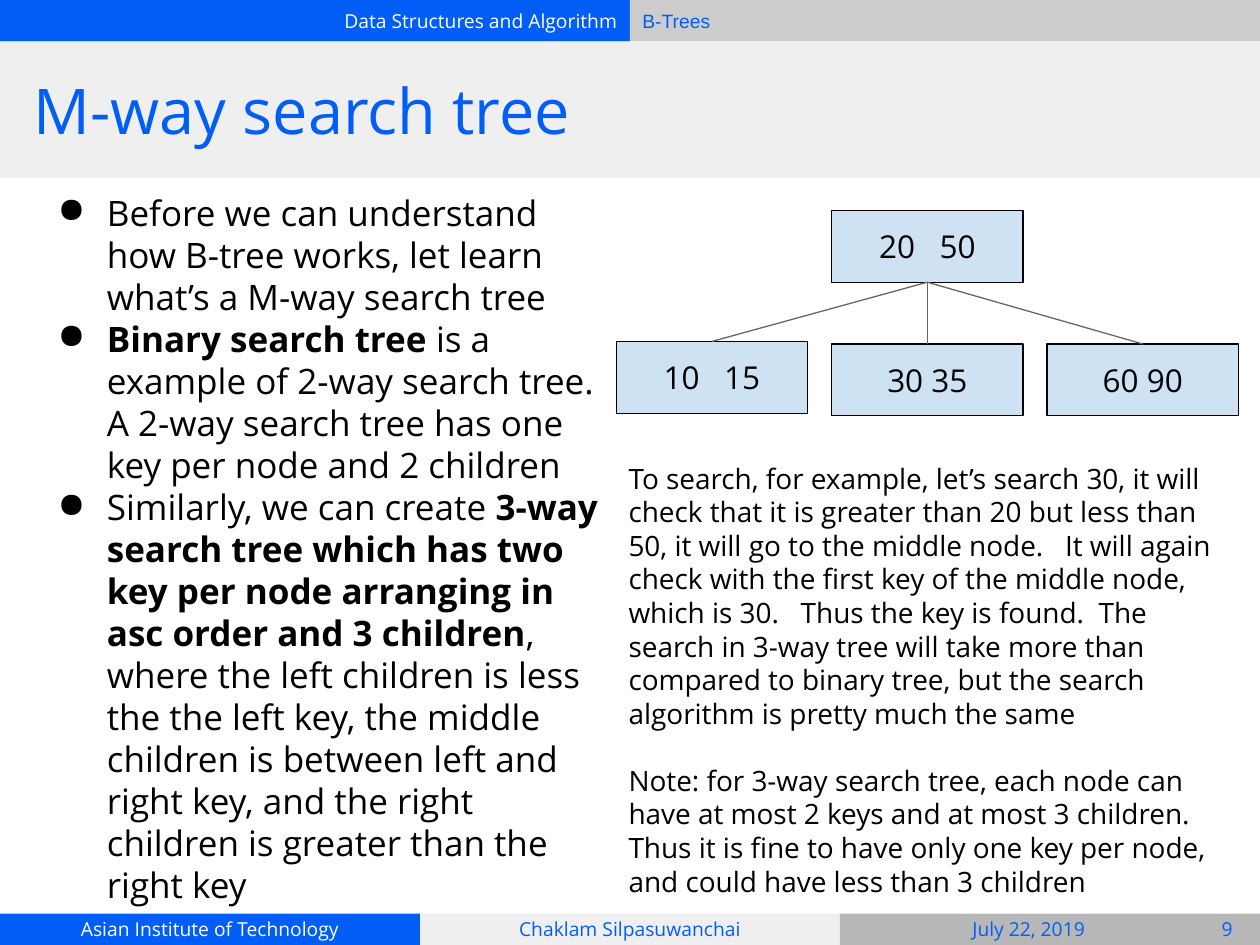
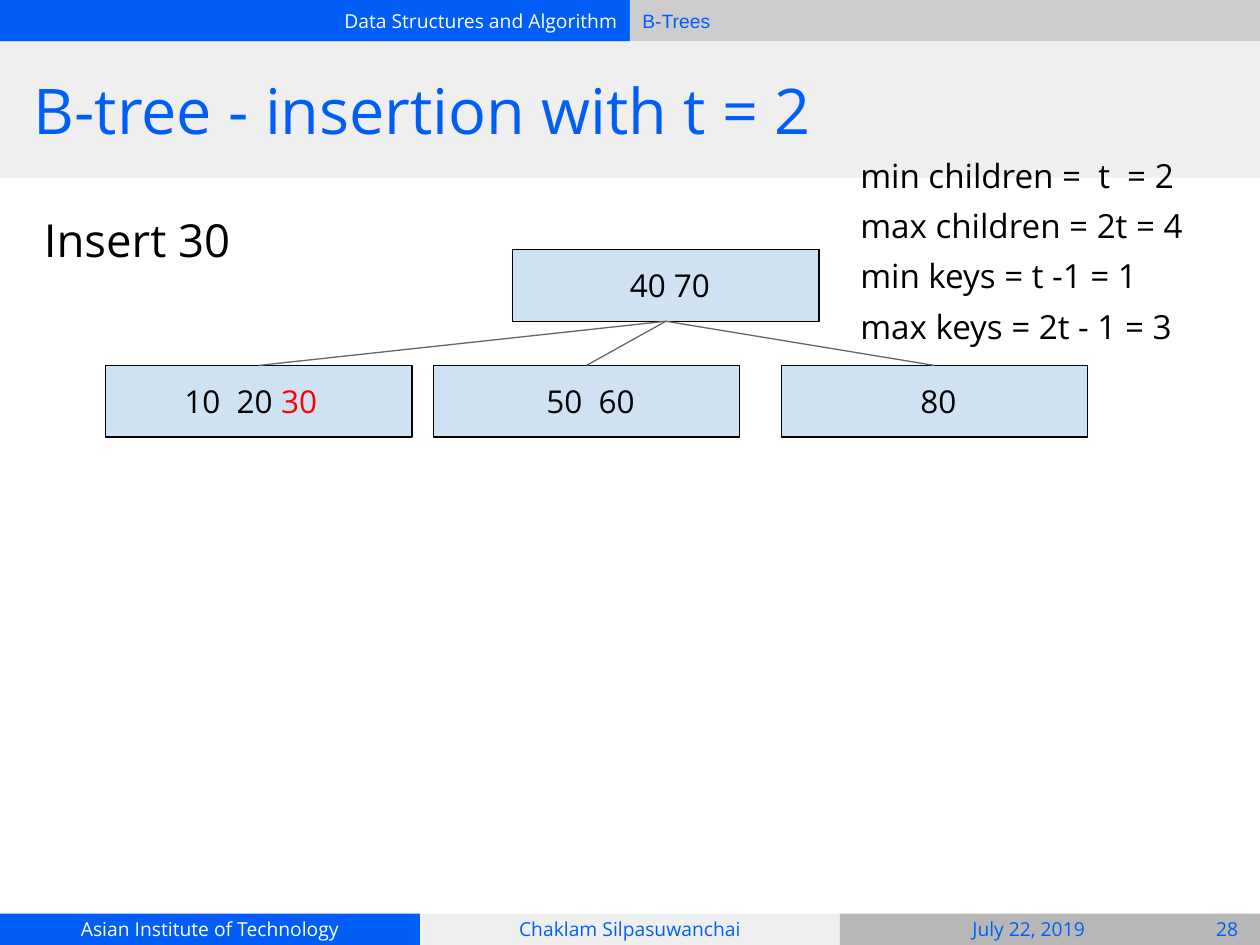
"""Builds two lecture slides on M-way search trees and B-trees."""
from lxml import etree
from pptx import Presentation
from pptx import util as u
from pptx.dml.color import RGBColor
from pptx.enum import shapes, text
from pptx.oxml.ns import qn

COLORS = {
    "blue": "005EF6", "white": "FFFFFF", "black": "000000", "red": "FF0000",
    "silver": "CCCCCC", "pale": "EFEFEF", "gray": "B7B7B7",
    "node": "CFE2F3", "edge": "666666",
}
FONT = "Open Sans"
SLIDE_WIDTH, SLIDE_HEIGHT = 10, 7.5
HEADER_HEIGHT, TITLE_HEIGHT, FOOTER_HEIGHT = 0.33, 1.08, 0.25
FOOTER_TOP = SLIDE_HEIGHT - FOOTER_HEIGHT
HALF, THIRD = SLIDE_WIDTH / 2, SLIDE_WIDTH / 3
NODE_HEIGHT = 0.57
LEFT, CENTER, RIGHT = text.PP_ALIGN.LEFT, text.PP_ALIGN.CENTER, text.PP_ALIGN.RIGHT
TOP, MIDDLE = text.MSO_ANCHOR.TOP, text.MSO_ANCHOR.MIDDLE


def rgb(name):
    """Return the named colour."""
    return RGBColor.from_string(COLORS[name])


def add_bullet(paragraph):
    """Give a paragraph a round bullet with a hanging indent."""
    properties = paragraph._p.get_or_add_pPr()
    properties.set("marL", str(u.Inches(0.5)))
    properties.set("indent", str(u.Inches(-0.39)))
    bullet = etree.SubElement(properties, qn("a:buChar"))
    bullet.set("char", "●")


def write(shape, paragraphs, size, color="black", align=LEFT, anchor=MIDDLE,
          font=FONT, before=(), bullets=False):
    """Fill a shape with paragraphs, each a list of (text, options) runs."""
    frame = shape.text_frame
    frame.word_wrap = True
    frame.vertical_anchor = anchor
    frame.margin_left = frame.margin_right = u.Inches(0.1)
    frame.margin_top = frame.margin_bottom = u.Inches(0.1)
    for index, runs in enumerate(paragraphs):
        paragraph = frame.add_paragraph() if index else frame.paragraphs[0]
        paragraph.alignment = align
        if index < len(before):
            paragraph.space_before = u.Pt(before[index])
        if bullets:
            add_bullet(paragraph)
        for words, options in runs:
            run = paragraph.add_run()
            run.text = words
            run.font.name = font
            run.font.size = u.Pt(size)
            run.font.bold = options.get("bold", False)
            run.font.color.rgb = rgb(options.get("color", color))


def add_box(slide, left, top, width, height, fill, outlined=False):
    """Add a filled rectangle, with a thin black outline on request."""
    shape = slide.shapes.add_shape(
        shapes.MSO_SHAPE.RECTANGLE,
        *map(u.Inches, (left, top, width, height)))
    shape.shadow.inherit = False
    shape.fill.solid()
    shape.fill.fore_color.rgb = rgb(fill)
    if outlined:
        shape.line.color.rgb = rgb("black")
        shape.line.width = u.Pt(0.75)
    else:
        shape.line.fill.background()
    return shape


def add_text(slide, left, top, width, height, paragraphs, size, **style):
    """Add a text box."""
    shape = slide.shapes.add_textbox(*map(u.Inches, (left, top, width, height)))
    write(shape, paragraphs, size, **style)


def add_node(slide, left, top, width, runs):
    """Add a tree node holding its keys."""
    node = add_box(slide, left, top, width, NODE_HEIGHT, "node", outlined=True)
    write(node, [runs], 18, align=CENTER)
    return node


def add_edge(slide, parent, child):
    """Join the bottom of a parent node to the top of a child node."""
    edge = slide.shapes.add_connector(shapes.MSO_CONNECTOR.STRAIGHT, 0, 0, 0, 0)
    edge.begin_connect(parent, 2)
    edge.end_connect(child, 0)
    edge.line.color.rgb = rgb("edge")
    edge.line.width = u.Pt(0.75)
    etree.SubElement(edge._element.spPr, qn("a:effectLst"))


def add_tree(slide, width, root, children):
    """Add a root node and its children, each given as (left, top, runs)."""
    def place(left, top, runs):
        """Add one node of this tree."""
        return add_node(slide, left, top, width, runs)

    parent = place(*root)
    for child in children:
        add_edge(slide, parent, place(*child))


def add_slide(presentation, title, number):
    """Add a slide with the shared bands, footer and title."""
    slide = presentation.slides.add_slide(presentation.slide_layouts[6])
    bands = [
        (0, 0, HALF, HEADER_HEIGHT, "blue",
         "Data Structures and Algorithm", "white", RIGHT, FONT),
        (HALF, 0, HALF, HEADER_HEIGHT, "silver", "B-Trees", "blue", LEFT, "Arial"),
        (0, FOOTER_TOP, THIRD, FOOTER_HEIGHT, "blue",
         "Asian Institute of Technology", "white", CENTER, FONT),
        (THIRD, FOOTER_TOP, THIRD, FOOTER_HEIGHT, "pale",
         "Chaklam Silpasuwanchai", "blue", CENTER, FONT),
    ]
    for left, top, width, height, fill, words, color, align, font in bands:
        band = add_box(slide, left, top, width, height, fill)
        write(band, [[(words, {})]], 11, color=color, align=align, font=font)
    add_box(slide, 2 * THIRD, FOOTER_TOP, THIRD, FOOTER_HEIGHT, "gray")
    for left, width, words in [(6.75, 2.83, "July 22, 2019"), (9.48, 0.52, number)]:
        add_text(slide, left, FOOTER_TOP, width, FOOTER_HEIGHT,
                 [[(words, {})]], 11, color="blue", align=CENTER)
    add_box(slide, 0, HEADER_HEIGHT, SLIDE_WIDTH, TITLE_HEIGHT, "pale")
    add_text(slide, 0.17, HEADER_HEIGHT, 9.67, TITLE_HEIGHT,
             [[(title, {})]], 36, color="blue")
    return slide


def build_search_tree(presentation):
    """Build the slide that explains M-way search trees."""
    slide = add_slide(presentation, "M-way search tree", "9")
    bold = {"bold": True}
    add_text(slide, 0.25, 1.42, 4.64, 5.08, [
        [("Before we can understand how B-tree works, let learn what’s a "
          "M-way search tree", {})],
        [("Binary search tree", bold),
         (" is a example of 2-way search tree.  A 2-way search tree has one "
          "key per node and 2 children", {})],
        [("Similarly, we can create ", {}),
         ("3-way search tree which has two key per node arranging in asc "
          "order and 3 children", bold),
         (", where the left children is less the the left key, the middle "
          "children is between left and right key, and the right children "
          "is greater than the right key", {})],
    ], 20, anchor=TOP, before=(6,), bullets=True)
    add_tree(slide, 1.52, (6.6, 1.67, [("20   50", {})]), [
        (4.89, 2.71, [("10   15", {})]),
        (6.6, 2.73, [("30 35", {})]),
        (8.31, 2.73, [("60 90", {})]),
    ])
    add_text(slide, 4.89, 3.56, 4.95, 3.35, [
        [("To search, for example, let’s search 30, it will check that it is "
          "greater than 20 but less than 50, it will go to the middle node.   "
          "It will again check with the first key of the middle node, which "
          "is 30.   Thus the key is found.  The search in 3-way tree will "
          "take more than compared to binary tree, but the search algorithm "
          "is pretty much the same", {})],
        [("Note: for 3-way search tree, each node can have at most 2 keys and "
          "at most 3 children.  Thus it is fine to have only one key per "
          "node, and could have less than 3 children", {})],
    ], 16, anchor=TOP, before=(0, 19.2))


def build_insertion(presentation):
    """Build the slide that inserts a key into a B-tree."""
    slide = add_slide(presentation, "B-tree - insertion with t = 2", "28")
    add_text(slide, 0.25, 1.58, 9.58, 5.08, [[("Insert 30", {})]], 26,
             anchor=TOP, before=(6,))
    add_tree(slide, 2.43, (4.07, 1.98, [(" 40 70", {})]), [
        (0.84, 2.9, [("10  20 ", {}), ("30  ", {"color": "red"})]),
        (3.44, 2.9, [(" 50  60", {})]),
        (6.2, 2.9, [(" 80", {})]),
    ])
    limits = ["min children =  t  = 2", "max children = 2t = 4",
              "min keys = t -1 = 1", "max keys = 2t - 1 = 3"]
    add_text(slide, 6.73, 1.13, 3.36, 1.84, [[(limit, {})] for limit in limits],
             19, anchor=TOP, before=[6] * len(limits))


def main():
    """Build and save the presentation."""
    presentation = Presentation()
    presentation.slide_width = u.Inches(SLIDE_WIDTH)
    presentation.slide_height = u.Inches(SLIDE_HEIGHT)
    build_search_tree(presentation)
    build_insertion(presentation)
    presentation.save("out.pptx")


if __name__ == "__main__":
    main()
